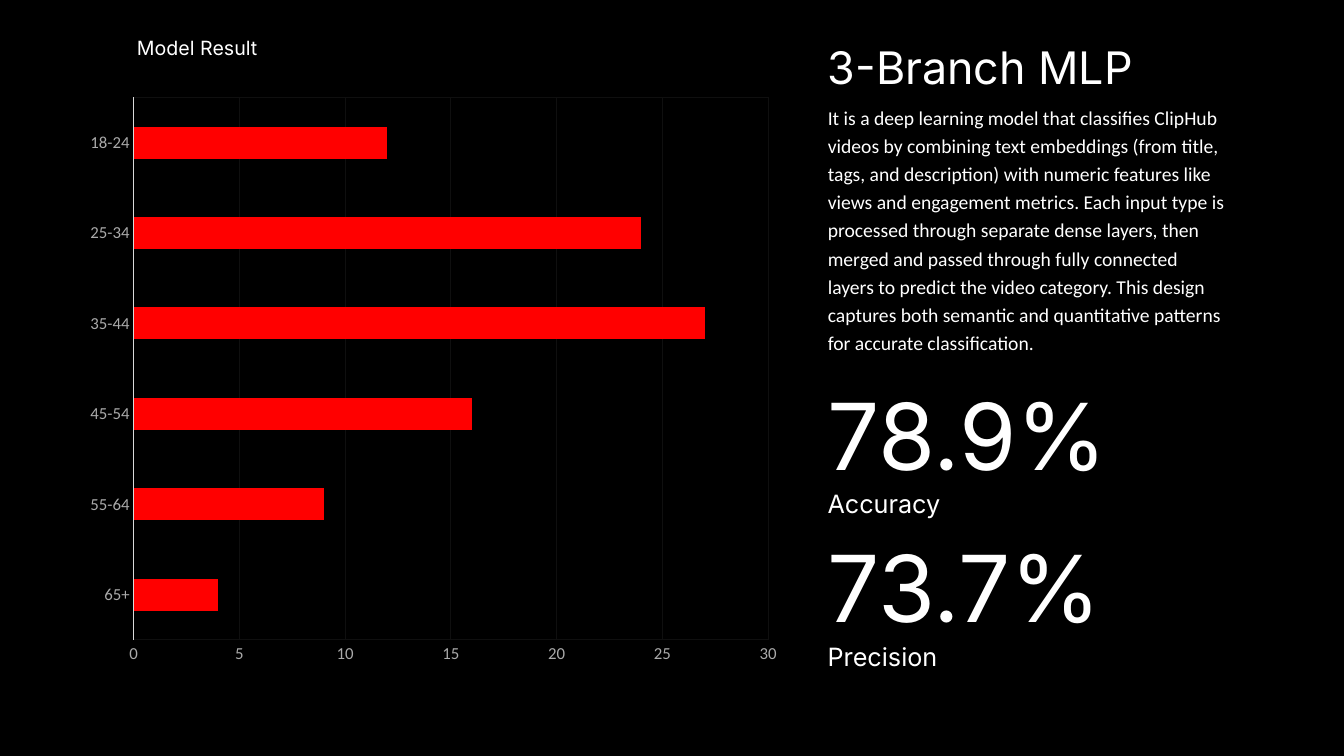
from lxml.etree import SubElement
from pptx import Presentation
from pptx.chart.data import CategoryChartData
from pptx.dml.color import RGBColor
from pptx.enum.chart import XL_CHART_TYPE, XL_TICK_MARK
from pptx.enum.text import MSO_ANCHOR, MSO_AUTO_SIZE, PP_ALIGN
from pptx.oxml import parse_xml
from pptx.oxml.ns import nsdecls, qn
from pptx.util import Inches, Pt

TITLE = "3-Branch MLP"
SUMMARY = (
    "It is a deep learning model that classifies ClipHub videos by combining "
    "text embeddings (from title, tags, and description) with numeric features "
    "like views and engagement metrics. Each input type is processed through "
    "separate dense layers, then merged and passed through fully connected "
    "layers to predict the video category. This design captures both semantic "
    "and quantitative patterns for accurate classification."
)
CHART_TITLE = "Model Result"
METRICS = [("78.9%", "Accuracy"), ("73.7%", "Precision")]
AGE_VALUES = {"65+": 4, "55-64": 9, "45-54": 16, "35-44": 27, "25-34": 24, "18-24": 12}

BLACK = RGBColor(0x00, 0x00, 0x00)
WHITE = RGBColor(0xFF, 0xFF, 0xFF)
RED = RGBColor(0xFF, 0x00, 0x00)
LABEL_GRAY = RGBColor(0xAA, 0xAA, 0xAA)
AXIS_GRAY = RGBColor(0xD9, 0xD9, 0xD9)
GRID_GRAY = RGBColor(0x0F, 0x0F, 0x0F)

COLUMN_LEFT = 8.11
METRIC_TOP = 3.7
METRIC_STEP = 1.51
LABEL_DROP = 1.1
PLOT_LAYOUT = {"x": 0.08, "y": 0.02, "w": 0.89, "h": 0.92}


def write_text(box, text, at, size, font="Inter", spacing=1.0, wrap=True):
    box.left, box.top, box.width, box.height = (Inches(length) for length in at)
    frame = box.text_frame
    frame.word_wrap = wrap
    frame.auto_size = MSO_AUTO_SIZE.NONE
    frame.vertical_anchor = MSO_ANCHOR.TOP
    para = frame.paragraphs[0]
    para.alignment = PP_ALIGN.LEFT
    para.line_spacing = spacing
    span = para.add_run()
    span.text = text
    span.font.name = font
    span.font.size = Pt(size)
    span.font.color.rgb = WHITE
    return para


def remove_bullet(para):
    para.space_before = Pt(0)
    properties = para._p.get_or_add_pPr()
    properties.set("marL", "0")
    properties.set("indent", "0")
    SubElement(properties, qn("a:buNone"))


def style_axis(axis):
    axis.major_tick_mark = XL_TICK_MARK.NONE
    axis.minor_tick_mark = XL_TICK_MARK.NONE
    font = axis.tick_labels.font
    font.name = "Calibri"
    font.size = Pt(12)
    font.color.rgb = LABEL_GRAY


def frame_plot(chart):
    plot_area = chart._chartSpace.chart.plotArea
    for old_layout in plot_area.findall(qn("c:layout")):
        plot_area.remove(old_layout)
    sizes = "".join(f'<c:{key} val="{value}"/>' for key, value in PLOT_LAYOUT.items())
    plot_area.insert(0, parse_xml(
        f'<c:layout {nsdecls("c")}><c:manualLayout><c:layoutTarget val="inner"/>'
        f'<c:xMode val="edge"/><c:yMode val="edge"/>{sizes}</c:manualLayout></c:layout>'))
    plot_area.append(parse_xml(
        f'<c:spPr {nsdecls("c", "a")}><a:noFill/><a:ln w="9525"><a:solidFill>'
        f'<a:srgbClr val="{GRID_GRAY}"/></a:solidFill></a:ln></c:spPr>'))


def add_age_chart(page):
    data = CategoryChartData()
    data.categories = list(AGE_VALUES)
    data.add_series("Series 1", list(AGE_VALUES.values()))
    chart = page.shapes.add_chart(
        XL_CHART_TYPE.BAR_CLUSTERED,
        Inches(0.76), Inches(0.85), Inches(7.07), Inches(5.85), data).chart
    chart.has_legend = False
    chart.has_title = False
    chart.font.name = "Calibri"
    chart.font.size = Pt(10)
    chart.font.color.rgb = BLACK

    plot = chart.plots[0]
    plot.gap_width = 182
    plot.vary_by_categories = False
    bars = plot.series[0].format.fill
    bars.solid()
    bars.fore_color.rgb = RED

    style_axis(chart.category_axis)
    category_line = chart.category_axis.format.line
    category_line.color.rgb = AXIS_GRAY
    category_line.width = Pt(0.75)

    value_axis = chart.value_axis
    style_axis(value_axis)
    value_axis.minimum_scale = 0
    value_axis.maximum_scale = 30
    value_axis.major_unit = 5
    value_axis.format.line.fill.background()
    grid_line = value_axis.major_gridlines.format.line
    grid_line.color.rgb = GRID_GRAY
    grid_line.width = Pt(0.75)
    frame_plot(chart)


def add_box(page):
    return page.shapes.add_textbox(0, 0, 0, 0)


def main():
    deck = Presentation()
    deck.slide_width = Inches(13.33)
    deck.slide_height = Inches(7.5)
    page = deck.slides.add_slide(deck.slide_layouts[1])
    page.background.fill.solid()
    page.background.fill.fore_color.rgb = BLACK

    add_age_chart(page)
    write_text(add_box(page), CHART_TITLE, (1.26, 0.26, 4.14, 0.36), 14, spacing=1.2)
    write_text(page.shapes.title, TITLE, (COLUMN_LEFT, 0.34, 3.3, 0.64), 32, wrap=False)
    summary = write_text(page.placeholders[1], SUMMARY, (COLUMN_LEFT, 0.95, 4.14, 2.63),
                         14, font="Calibri", spacing=1.2)
    remove_bullet(summary)

    for index, (value, label) in enumerate(METRICS):
        top = METRIC_TOP + index * METRIC_STEP
        write_text(add_box(page), value, (COLUMN_LEFT, top, 2.99, 1.21), 66, wrap=False)
        write_text(add_box(page), label, (COLUMN_LEFT, top + LABEL_DROP, 3.41, 0.4), 18)

    deck.save("out.pptx")


if __name__ == "__main__":
    main()
